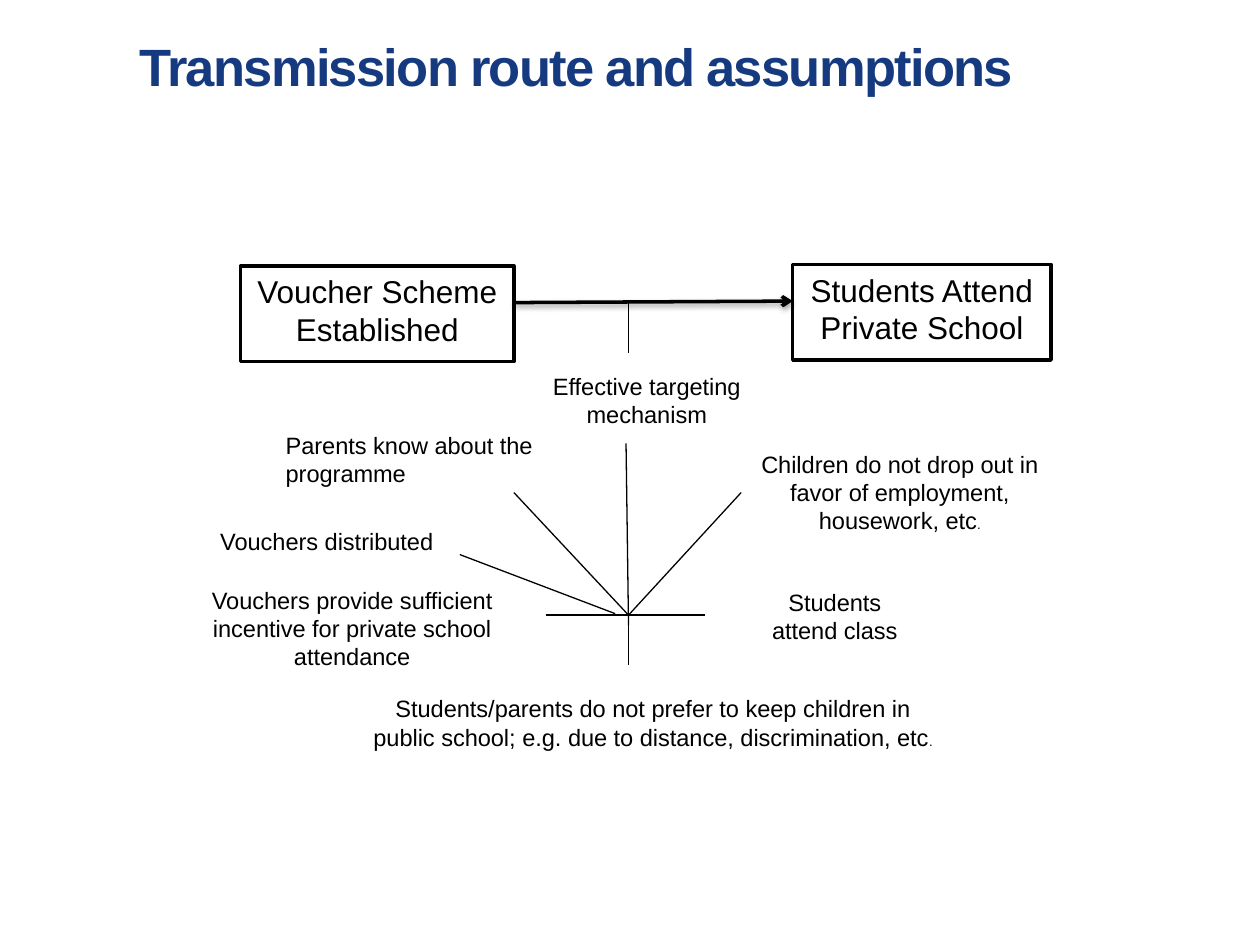
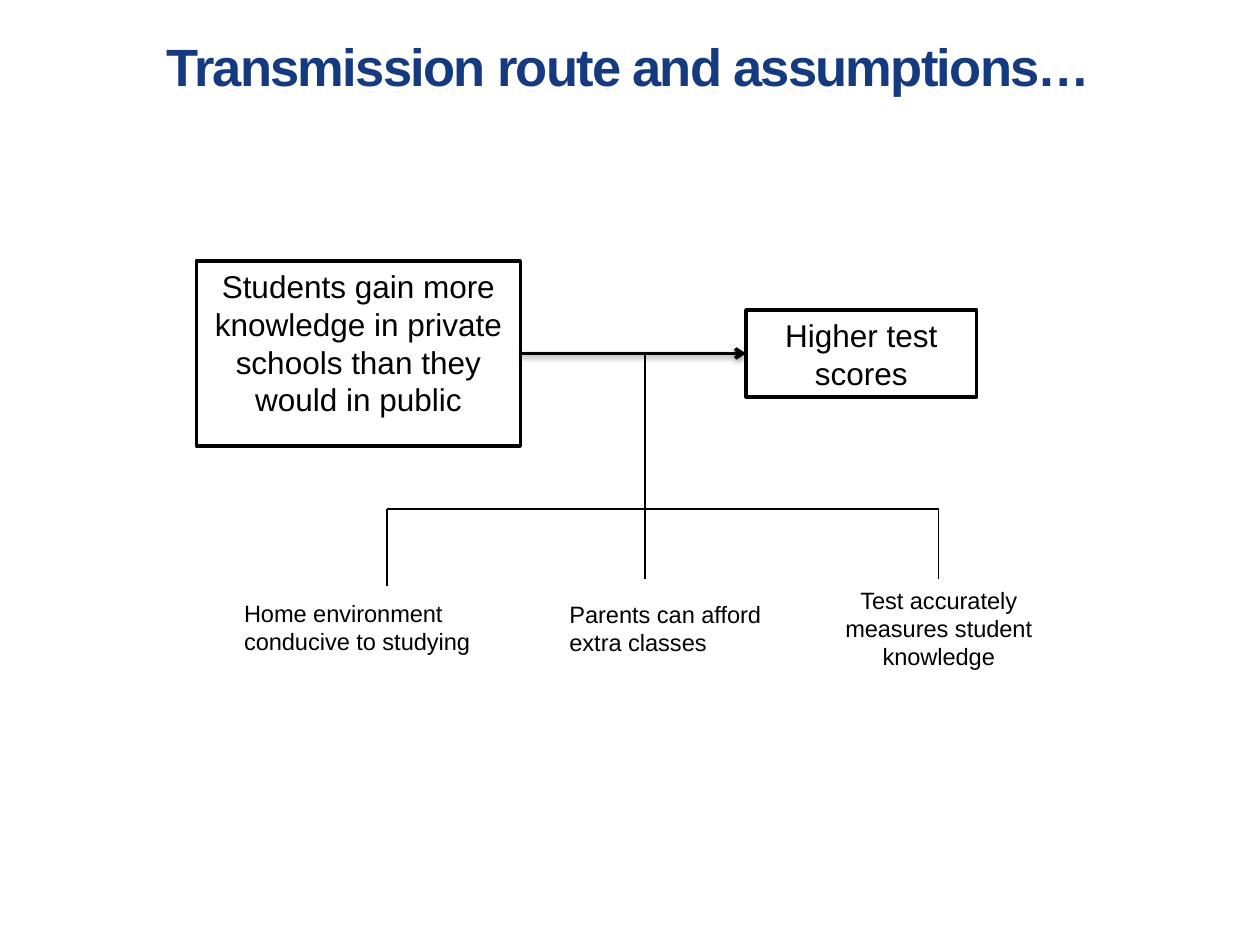
from lxml.etree import SubElement
from pptx import Presentation
from pptx.dml.color import RGBColor
from pptx.enum.shapes import MSO_CONNECTOR, MSO_SHAPE
from pptx.enum.text import MSO_ANCHOR, MSO_AUTO_SIZE, PP_ALIGN
from pptx.oxml.ns import qn
from pptx.util import Cm, Pt

COLORS = {"title": "153A80", "ink": "000000", "paper": "FFFFFF"}
FONT = "Arial"
LEFT, CENTER = PP_ALIGN.LEFT, PP_ALIGN.CENTER


def write(box, text, size, align, color="ink"):
    """Fill a box with one paragraph of formatted text."""
    frame = box.text_frame
    frame.word_wrap = True
    para = frame.paragraphs[0]
    para.text = text
    para.alignment = align
    if text.endswith("etc."):  # the closing full stop is set small
        para.runs[0].text = text[:-1]
        para.add_run().text = "."
    for span, points in zip(para.runs, (size, 7.5)):
        span.font.name = FONT
        span.font.size = Pt(points)
        span.font.color.rgb = RGBColor.from_string(COLORS[color])


def draw_line(page, x1, y1, x2, y2, width=0.75):
    """Draw a plain line; return it with its empty effect list."""
    line = page.shapes.add_connector(
        MSO_CONNECTOR.STRAIGHT, Cm(x1), Cm(y1), Cm(x2), Cm(y2))
    line.line.width = Pt(width)
    line.line.color.rgb = RGBColor.from_string(COLORS["ink"])
    return line, SubElement(line._element.spPr, qn("a:effectLst"))


# Slide content: lengths in centimetres, places as left, top, width, height
hub = (12.67, 12.4)
trunk_x, bar_y = 13, 10.26
branch_left, branch_right = 7.8, 18.92

pages = [
    {
        "title": ("Transmission route and assumptions", 2.64),
        "cause": ("Voucher Scheme Established", 4.85, 5.36, 5.51, 1.93),
        "effect": ("Students Attend Private School", 15.98, 5.33, 5.21, 1.93),
        "arrow": (10.36, 6.1, 15.98, 6.07),
        "joined": False,
        "lines": [
            (hub[0], 6.07, hub[0], 7.11),
            (11, hub[1], 14.22, hub[1]),
            (10.36, 9.93, *hub),
            (14.94, 9.93, *hub),
            (*hub, hub[0], 13.41),
            (12.62, 8.94, hub[0], 12.6),
            (9.27, 11.18, 12.4, 12.37),
        ],
        "assumptions": [
            ("Effective targeting mechanism", CENTER, 10.36, 7.37, 5.36, 1.42),
            ("Parents know about the programme", LEFT, 5.51, 8.56, 5.49, 1.42),
            ("Vouchers distributed", LEFT, 4.19, 10.49, 5.79, 0.84),
            ("Vouchers provide sufficient incentive for private school attendance",
             CENTER, 3.71, 11.68, 6.78, 1.98),
            ("Students/parents do not prefer to keep children in public school; "
             "e.g. due to distance, discrimination, etc.",
             CENTER, 7.26, 13.87, 11.81, 1.98),
            ("Students attend class", CENTER, 14.99, 11.73, 3.68, 1.42),
            ("Children do not drop out in favor of employment, housework, etc.",
             CENTER, 14.71, 8.94, 6.86, 1.98),
        ],
    },
    {
        "title": ("Transmission route and assumptions…", 3.18),
        "cause": ("Students gain more knowledge in private schools than they "
                  "would in public", 3.96, 5.26, 6.53, 3.73),
        "effect": ("Higher test scores", 15.04, 6.25, 4.65, 1.75),
        "arrow": (10.49, 7.13, 15.04, 7.13),
        "joined": True,
        "lines": [
            (trunk_x, 7.13, trunk_x, 11.68),
            (trunk_x, 7.13, trunk_x, bar_y),
            (branch_left, bar_y, branch_right, bar_y),
            (branch_left, bar_y, branch_left, 11.81),
            (branch_right, bar_y, branch_right, 11.68),
        ],
        "assumptions": [
            ("Home environment conducive to studying", LEFT, 4.67, 11.94, 5.13, 1.42),
            ("Parents can afford extra classes", LEFT, 11.23, 11.96, 4.65, 1.42),
            ("Test accurately measures student knowledge",
             CENTER, 16.69, 11.68, 4.47, 1.98),
        ],
    },
]

deck = Presentation()
deck.slide_width, deck.slide_height = Cm(25.4), Cm(19.05)

for content in pages:
    page = deck.slides.add_slide(deck.slide_layouts[5])

    # Title
    text, left = content["title"]
    title = page.shapes.title
    title.left, title.top, title.width, title.height = (
        Cm(left), Cm(0.53), Cm(20.8), Cm(1.57))
    frame = title.text_frame
    frame.auto_size = MSO_AUTO_SIZE.NONE
    frame.vertical_anchor = MSO_ANCHOR.MIDDLE
    frame.margin_left = frame.margin_right = Cm(0.18)
    frame.margin_top = frame.margin_bottom = Cm(0.1)
    write(title, text, 30, LEFT, "title")
    for span in frame.paragraphs[0].runs:
        span.font.bold = True
        span.font._element.set("spc", "-100")

    # Cause and effect boxes
    ends = []
    for text, *place in (content["cause"], content["effect"]):
        box = page.shapes.add_shape(MSO_SHAPE.RECTANGLE, *map(Cm, place))
        box.shadow.inherit = False
        box.fill.solid()
        box.fill.fore_color.rgb = RGBColor.from_string(COLORS["paper"])
        box.line.color.rgb = RGBColor.from_string(COLORS["ink"])
        box.line.width = Pt(2)
        box.text_frame.vertical_anchor = MSO_ANCHOR.TOP
        write(box, text, 18, CENTER)
        ends.append(box)

    # Arrow from cause to effect, with a soft shadow below
    arrow, effects = draw_line(page, *content["arrow"], width=2)
    if content["joined"]:
        arrow.begin_connect(ends[0], 3)
        arrow.end_connect(ends[1], 1)
    SubElement(arrow.line._get_or_add_ln(), qn("a:tailEnd"), type="arrow")
    shadow = SubElement(effects, qn("a:outerShdw"), blurRad="40000",
                        dist="20000", dir="5400000", rotWithShape="0")
    shade = SubElement(shadow, qn("a:srgbClr"), val=COLORS["ink"])
    SubElement(shade, qn("a:alpha"), val="38000")

    # Lines to the assumptions
    for ends_at in content["lines"]:
        draw_line(page, *ends_at)

    # Assumptions
    for text, align, *place in content["assumptions"]:
        label = page.shapes.add_textbox(*map(Cm, place))
        label.text_frame.auto_size = MSO_AUTO_SIZE.SHAPE_TO_FIT_TEXT
        write(label, text, 13.5, align)

deck.save("out.pptx")
